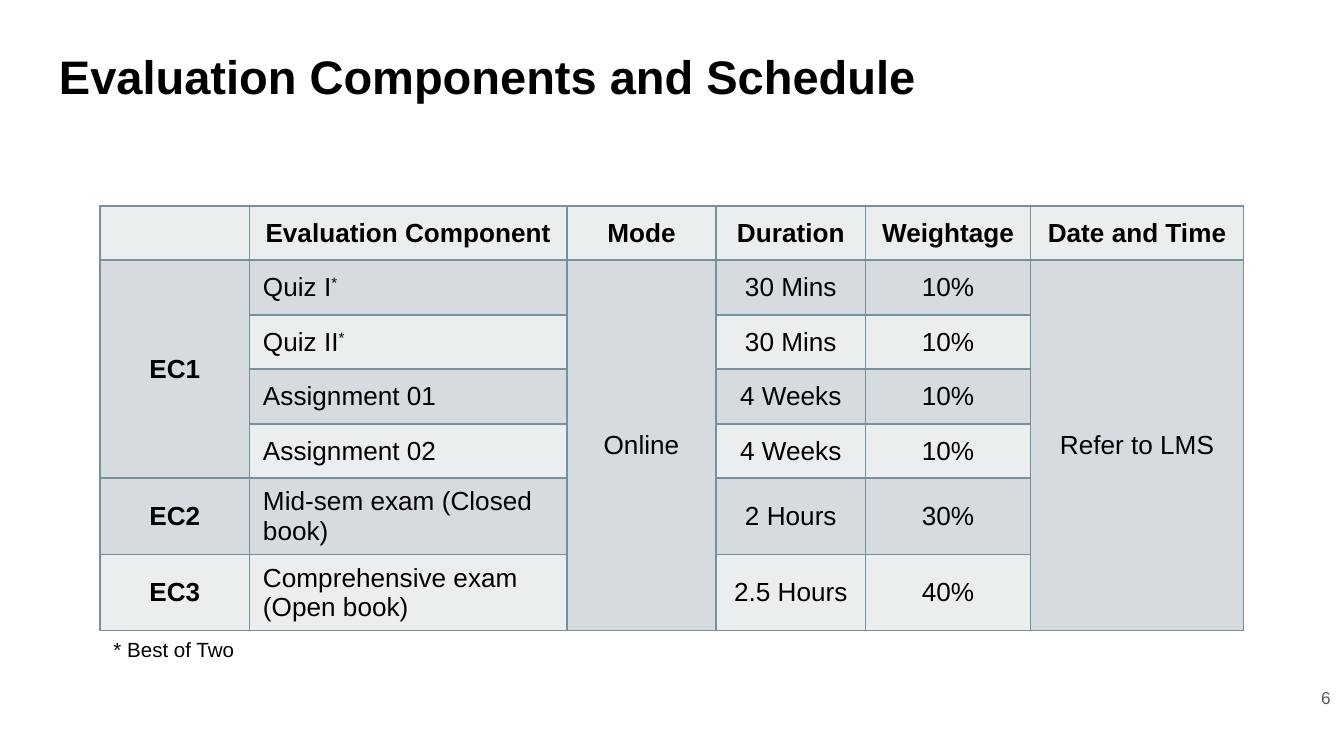
from dataclasses import dataclass

from lxml import etree
from pptx import Presentation
from pptx.dml.color import RGBColor
from pptx.enum.text import MSO_ANCHOR, PP_ALIGN
from pptx.oxml.ns import qn
from pptx.util import Pt

LEFT, CENTER, RIGHT = PP_ALIGN.LEFT, PP_ALIGN.CENTER, PP_ALIGN.RIGHT
TOP, MIDDLE = MSO_ANCHOR.TOP, MSO_ANCHOR.MIDDLE


@dataclass(frozen=True)
class Theme:
    font: str = "Arial"
    text: str = "000000"
    muted: str = "595959"
    border: str = "78909C"
    bands: tuple = ("EBEEEF", "D5DBDE")
    title_size: float = 25.2
    table_size: float = 14
    note_size: float = 11
    number_size: float = 9.2


THEME = Theme()
COLUMNS = (80, 170, 80, 80, 88.5, 114)
ROW_HEIGHTS = (29.2,) * 5 + (38.6,) * 2
ROWS = (
    ("", "Evaluation Component", "Mode", "Duration", "Weightage", "Date and Time"),
    ("EC1", "Quiz I*", "Online", "30 Mins", "10%", "Refer to LMS"),
    ("", "Quiz II*", "", "30 Mins", "10%", ""),
    ("", "Assignment 01", "", "4 Weeks", "10%", ""),
    ("", "Assignment 02", "", "4 Weeks", "10%", ""),
    ("EC2", "Mid-sem exam (Closed book)", "", "2 Hours", "30%", ""),
    ("EC3", "Comprehensive exam (Open book)", "", "2.5 Hours", "40%", ""),
)
MERGES = ((1, 0, 4, 0), (1, 2, 6, 2), (1, 5, 6, 5))


def style_run(r, size, color, bold=False):
    r.font.name = THEME.font
    r.font.size = Pt(size)
    r.font.bold = bold
    r.font.color.rgb = RGBColor.from_string(color)


def add_text(slide, box, text, size, color=THEME.text, bold=False,
             align=LEFT, anchor=TOP, inset=7.2, spacing=None):
    sp = slide.shapes.add_textbox(*map(Pt, box))
    tf = sp.text_frame
    tf.text = text
    tf.word_wrap = True
    tf.vertical_anchor = anchor
    tf.margin_top = tf.margin_bottom = Pt(inset)
    p = tf.paragraphs[0]
    p.alignment = align
    if spacing:
        p.line_spacing = spacing
    style_run(p.runs[0], size, color, bold)


def set_borders(cell):
    tc_pr = cell._tc.get_or_add_tcPr()
    for side in ("a:lnL", "a:lnR", "a:lnT", "a:lnB"):
        ln = etree.SubElement(tc_pr, qn(side), w=str(Pt(1)))
        fill = etree.SubElement(ln, qn("a:solidFill"))
        etree.SubElement(fill, qn("a:srgbClr"), val=THEME.border)


def fill_cell(cell, text, band, bold, align):
    set_borders(cell)
    cell.fill.solid()
    cell.fill.fore_color.rgb = RGBColor.from_string(band)
    cell.vertical_anchor = MIDDLE
    p = cell.text_frame.paragraphs[0]
    p.alignment = align
    p.font.size = Pt(THEME.table_size)
    label, star, _ = text.partition("*")
    for part in filter(None, (label, star)):
        r = p.add_run()
        r.text = part
        style_run(r, THEME.table_size, THEME.text, bold)
        if part == "*":
            r.font._element.set("baseline", "30000")


def add_schedule(slide, left, top):
    frame = slide.shapes.add_table(len(ROWS), len(COLUMNS), Pt(left), Pt(top),
                                   Pt(sum(COLUMNS)), Pt(sum(ROW_HEIGHTS)))
    table = frame.table
    table.first_row = table.horz_banding = False
    for column, width in zip(table.columns, COLUMNS):
        column.width = Pt(width)
    for row, height in zip(table.rows, ROW_HEIGHTS):
        row.height = Pt(height)
    for i, values in enumerate(ROWS):
        for j, text in enumerate(values):
            align = LEFT if i > 0 and j == 1 else CENTER
            fill_cell(table.cell(i, j), text, THEME.bands[i % 2],
                      i == 0 or j == 0, align)
    for top_row, first, bottom_row, last in MERGES:
        table.cell(top_row, first).merge(table.cell(bottom_row, last))


def main():
    prs = Presentation()
    prs.slide_width, prs.slide_height = Pt(720), Pt(405)
    slide = prs.slides.add_slide(prs.slide_layouts[6])
    add_text(slide, (24.5, 18, 671, 45), "Evaluation Components and Schedule",
             THEME.title_size, bold=True)
    add_text(slide, (677, 362, 43, 24.5), "6", THEME.number_size, THEME.muted,
             align=RIGHT, anchor=MIDDLE, spacing=0.9)
    add_schedule(slide, 53.7, 110.2)
    add_text(slide, (53.7, 337.7, 81, 21), "* Best of Two", THEME.note_size,
             inset=3.6)
    prs.save("out.pptx")


if __name__ == "__main__":
    main()
